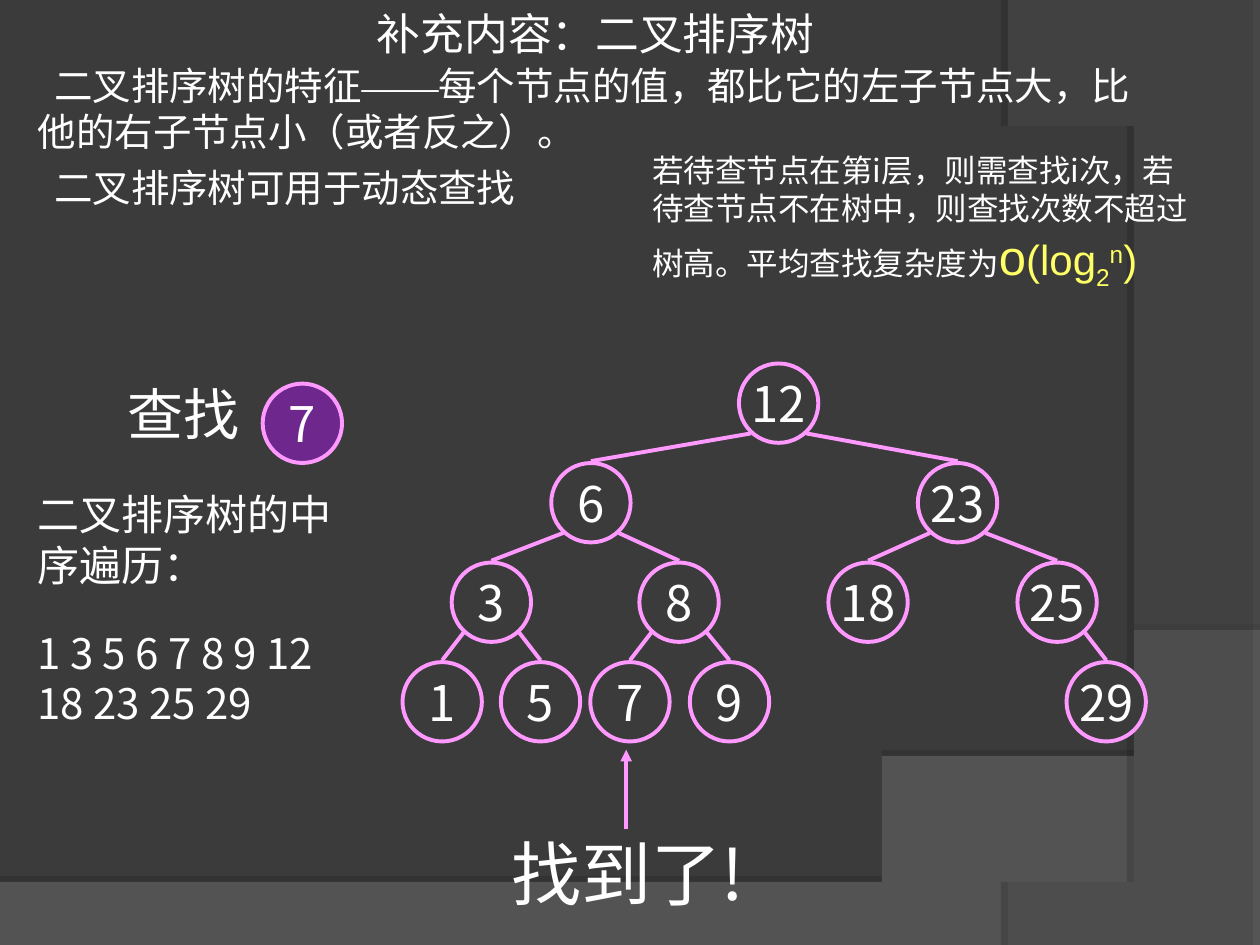
from dataclasses import dataclass

from lxml import etree
from pptx import Presentation
from pptx.dml.color import RGBColor
from pptx.enum.shapes import MSO_CONNECTOR, MSO_SHAPE
from pptx.enum.text import MSO_ANCHOR, MSO_AUTO_SIZE, PP_ALIGN
from pptx.oxml.ns import qn
from pptx.util import Inches, Pt

STRAIGHT = MSO_CONNECTOR.STRAIGHT
OVAL = MSO_SHAPE.OVAL
TOP, MIDDLE = MSO_ANCHOR.TOP, MSO_ANCHOR.MIDDLE
NO_FIT = MSO_AUTO_SIZE.NONE
LEFT, CENTER = PP_ALIGN.LEFT, PP_ALIGN.CENTER


@dataclass(frozen=True)
class Theme:
    background: str = "3B3B3B"
    lower_wave: str = "7C7C7C"
    right_wave: str = "595959"
    text: str = "FFFFFF"
    formula: str = "FFFF66"
    outline: str = "FF99FF"
    target: str = "A116E0"
    cjk: str = "Noto Sans CJK SC"
    latin: str = "Arial"
    serif: str = "Times New Roman"
    line: float = 2.25
    title_size: int = 25
    body_size: int = 22
    note_size: int = 18
    list_size: int = 24
    node_size: int = 28
    search_size: int = 32
    found_size: int = 40


THEME = Theme()
DIAMETER = 0.63
ROOT_Y, LEVEL_GAP = 3.2, 0.79

# value: (centre x, level, parent)
TREE = {
    12: (6.18, 0, None),
    6: (4.69, 1, 12), 23: (7.6, 1, 12),
    3: (3.9, 2, 6), 8: (5.39, 2, 6), 18: (6.89, 2, 23), 25: (8.39, 2, 23),
    1: (3.51, 3, 3), 5: (4.29, 3, 3), 7: (5, 3, 8), 9: (5.79, 3, 8),
    29: (8.78, 3, 25),
}


def rgb(code):
    return RGBColor.from_string(code)


def style_font(font, size, name=THEME.cjk, color=THEME.text):
    font.size = Pt(size)
    font.name = name
    font.color.rgb = rgb(color)
    east_asian = etree.SubElement(font._rPr, qn("a:ea"))
    east_asian.set("typeface", name)


def set_opacity(shape, percent):
    color = shape._element.spPr.find(qn("a:solidFill"))[0]
    etree.SubElement(color, qn("a:alpha")).set("val", str(percent * 1000))


def add_shadow(shape, opacity, distance, angle):
    shape.shadow.inherit = False
    effects = shape._element.spPr.find(qn("a:effectLst"))
    shadow = etree.SubElement(effects, qn("a:outerShdw"), blurRad="0",
                              dist=str(Pt(distance)), dir=str(angle * 60000),
                              algn="ctr", rotWithShape="0")
    color = etree.SubElement(shadow, qn("a:srgbClr"), val="000000")
    etree.SubElement(color, qn("a:alpha"), val=str(opacity * 1000))


def curve(start, control_1, control_2, end, steps=40):
    """Points along a cubic Bezier curve, without its start."""
    points = []
    for step in range(1, steps + 1):
        t = step / steps
        weights = ((1 - t) ** 3, 3 * t * (1 - t) ** 2, 3 * t ** 2 * (1 - t), t ** 3)
        corners = (start, control_1, control_2, end)
        points.append(tuple(sum(w * c[axis] for w, c in zip(weights, corners))
                            for axis in (0, 1)))
    return points


def add_wave(page, position, points, color, opacity, shadow):
    """Add a background outline at the given place in the drawing order."""
    builder = page.shapes.build_freeform(*points[0], scale=Inches(1))
    builder.add_line_segments(points[1:], close=True)
    wave = builder.convert_to_shape()
    wave.fill.solid()
    wave.fill.fore_color.rgb = rgb(color)
    set_opacity(wave, opacity)
    wave.line.fill.background()
    add_shadow(wave, *shadow)
    tree = wave._element.getparent()
    tree.insert(2 + position, wave._element)


def add_background(page):
    page.background.fill.solid()
    page.background.fill.fore_color.rgb = rgb(THEME.background)
    lower = [(0, 7.05), (0, 7.5), (10, 7.5), (10, 5.2)]
    lower += curve((10, 5.2), (5.59, 7.29), (3.91, 7.19), (0, 7.05))
    add_wave(page, 0, lower, THEME.lower_wave, 45, (27, 3.5, 270))
    right = [(10, 0.02), (10, 7.5), (8.21, 7.5)]
    right += curve((8.21, 7.5), (9.35, 6.19), (10.18, 3), (8, 0))
    add_wave(page, 1, right, THEME.right_wave, 40, (37, 4, 180))


def place(shape, left, top, width, height):
    shape.left, shape.top = Inches(left), Inches(top)
    shape.width, shape.height = Inches(width), Inches(height)
    frame = shape.text_frame
    frame.auto_size, frame.word_wrap, frame.vertical_anchor = NO_FIT, True, TOP
    return frame


def add_text(page, bounds, text, size, align=LEFT):
    box = page.shapes.add_textbox(0, 0, 0, 0)
    para = place(box, *bounds).paragraphs[0]
    para.text = text
    para.alignment = align
    style_font(para.font, size)


def add_span(para, text, size, name=THEME.cjk, color=THEME.text, baseline=0):
    span = para.add_run()
    span.text = text
    style_font(span.font, size, name, color)
    if baseline:
        span.font._rPr.set("baseline", str(baseline * 1000))


def add_node(page, value, x, y, color=THEME.background):
    node = page.shapes.add_shape(OVAL, Inches(x - DIAMETER / 2), Inches(y - DIAMETER / 2),
                                 Inches(DIAMETER), Inches(DIAMETER))
    node.shadow.inherit = False
    node.fill.solid()
    node.fill.fore_color.rgb = rgb(color)
    node.line.color.rgb = rgb(THEME.outline)
    node.line.width = Pt(THEME.line)
    frame = node.text_frame
    frame.word_wrap, frame.vertical_anchor = False, MIDDLE
    para = frame.paragraphs[0]
    para.text = str(value)
    para.alignment = CENTER
    style_font(para.font, THEME.node_size)
    return node


def add_line(page, start, end, arrow=False):
    line = page.shapes.add_connector(STRAIGHT, *map(Inches, start + end))
    line.line.color.rgb = rgb(THEME.outline)
    line.line.width = Pt(THEME.line)
    etree.SubElement(line._element.spPr, qn("a:effectLst"))
    if arrow:
        etree.SubElement(line.line._get_or_add_ln(), qn("a:tailEnd"), type="triangle")


def add_tree(page):
    for value, (x, level, parent) in TREE.items():
        y = ROOT_Y + level * LEVEL_GAP
        add_node(page, value, x, y)
        if parent is not None:
            parent_x = TREE[parent][0]
            side = 0.22 if x > parent_x else -0.22
            add_line(page, (parent_x + side, y - LEVEL_GAP + 0.24), (x, y - 0.33))


def fill_title(title):
    para = place(title, 1.85, 0, 5.75, 0.52).paragraphs[0]
    para.text = "补充内容：二叉排序树"
    para.alignment = CENTER
    style_font(para.font, THEME.title_size)


def fill_features(body):
    frame = place(body, 0.2, 0.44, 9.01, 1.42)
    size, latin = THEME.body_size, THEME.latin
    first, second = frame.paragraphs[0], frame.add_paragraph()
    for para, space in ((first, 0), (second, 5.5)):
        properties = para._p.get_or_add_pPr()
        properties.set("marL", "0")
        properties.set("indent", str(Inches(0.13)))
        etree.SubElement(properties, qn("a:buNone"))
        para.space_before = Pt(space)
    add_span(first, "二叉排序树的特征", size, latin)
    add_span(first, "——", size, THEME.serif)
    add_span(first, "每个节点的值，都比它的左子节点大，比他的右子节点小（或者反之）。", size, latin)
    second.text = "二叉排序树可用于动态查找"
    style_font(second.font, size, latin)


def add_complexity_note(page):
    box = page.shapes.add_textbox(0, 0, 0, 0)
    para = place(box, 5.08, 1.15, 4.57, 1.21).paragraphs[0]
    add_span(para, "若待查节点在第i层，则需查找i次，若待查节点不在树中，"
                   "则查找次数不超过树高。平均查找复杂度为", THEME.note_size)
    formula = (("o", THEME.node_size, 0), ("(log", THEME.list_size, 0),
               ("2", THEME.list_size, -25), ("n", THEME.list_size, 30),
               (")", THEME.list_size, 0))
    for text, size, baseline in formula:
        add_span(para, text, size, THEME.latin, THEME.formula, baseline)


def main():
    deck = Presentation()
    deck.slide_width, deck.slide_height = Inches(10), Inches(7.5)
    page = deck.slides.add_slide(deck.slide_layouts[1])
    add_background(page)
    fill_title(page.shapes.title)
    fill_features(page.placeholders[1])
    add_tree(page)
    add_text(page, (0.51, 2.96, 1.89, 0.64), "查找", THEME.search_size, CENTER)
    set_opacity(add_node(page, 7, 2.4, 3.36, THEME.target), 50)
    add_text(page, (3.82, 6.54, 2.33, 0.77), "找到了!", THEME.found_size, CENTER)
    add_line(page, (4.97, 6.58), (4.97, 5.95), arrow=True)
    add_text(page, (0.2, 3.83, 2.56, 0.95), "二叉排序树的中序遍历：", THEME.list_size)
    add_text(page, (0.2, 4.93, 2.76, 1.3), "1 3 5 6 7 8 9 12 18 23 25 29", THEME.list_size)
    add_complexity_note(page)
    deck.save("out.pptx")


if __name__ == "__main__":
    main()
